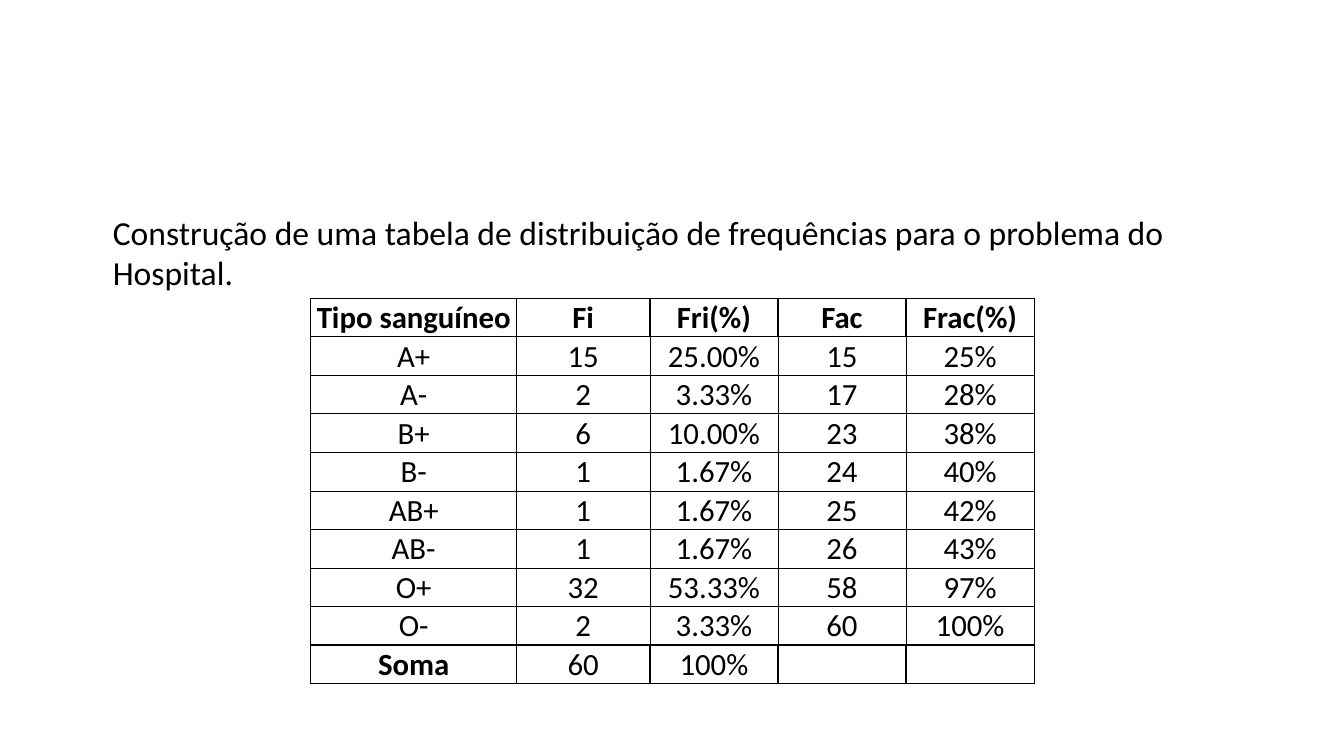
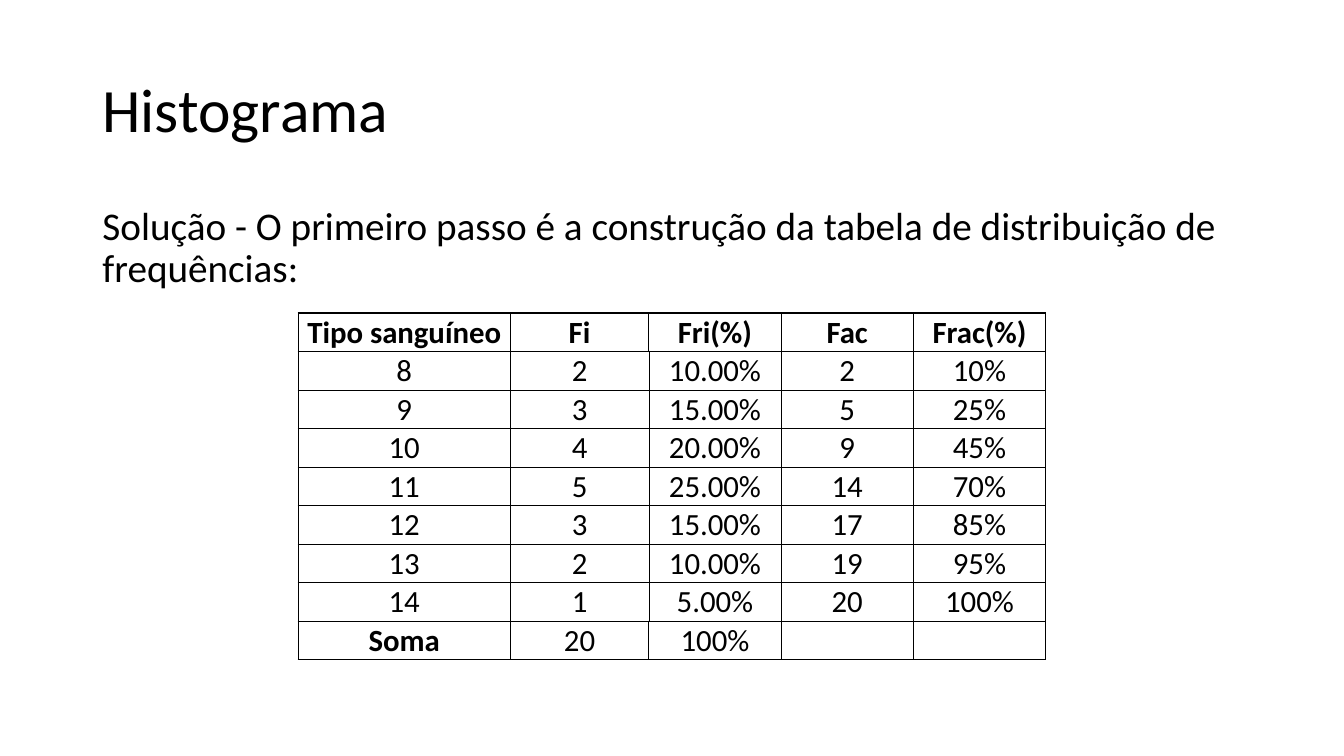
from dataclasses import dataclass
from itertools import accumulate

from lxml import etree
from pptx import Presentation
from pptx.dml.color import RGBColor
from pptx.enum.text import MSO_ANCHOR, MSO_AUTO_SIZE, PP_ALIGN
from pptx.oxml.ns import qn
from pptx.util import Pt

LEFT, CENTER = PP_ALIGN.LEFT, PP_ALIGN.CENTER
TOP, MIDDLE, BOTTOM = MSO_ANCHOR.TOP, MSO_ANCHOR.MIDDLE, MSO_ANCHOR.BOTTOM
NO_AUTOFIT = MSO_AUTO_SIZE.NONE
PX = 9525


@dataclass(frozen=True)
class Theme:
    font: str = "Calibri"
    ink: str = "000000"
    title: int = 44
    body: int = 28
    note: int = 24
    cell: int = 22
    thin: float = 0.5
    heavy: float = 1


THEME = Theme()
HEADINGS = ["Tipo sanguíneo", "Fi", "Fri(%)", "Fac", "Frac(%)"]
ROW_HEIGHT = 36


def write_text(frame, text, size, anchor, alignment=LEFT, bold=False):
    frame.word_wrap = True
    frame.vertical_anchor = anchor
    paragraph = frame.paragraphs[0]
    paragraph.alignment = alignment
    paragraph.font.name = THEME.font
    paragraph.font.size = Pt(size)
    paragraph.font.bold = bold
    paragraph.font.color.rgb = RGBColor.from_string(THEME.ink)
    if text:
        paragraph.add_run().text = text
    return paragraph


def add_frequency_table(slide, left, top, widths, counts, heavy_edges):
    total = sum(counts.values())
    rows = [HEADINGS]
    for (label, count), running in zip(counts.items(), accumulate(counts.values())):
        rows.append([label, str(count), f"{count / total:.2%}", str(running), f"{running / total:.0%}"])
    rows.append(["Soma", str(total), "100%", "", ""])
    last = len(rows) - 1

    table = slide.shapes.add_table(
        len(rows), len(widths), left * PX, top * PX, sum(widths) * PX, len(rows) * ROW_HEIGHT * PX
    ).table
    table.first_row = table.horz_banding = False
    for column, width in zip(table.columns, widths):
        column.width = width * PX

    for row_index, row in enumerate(rows):
        table.rows[row_index].height = ROW_HEIGHT * PX
        framed = row_index in (0, last)
        for column_index, text in enumerate(row):
            cell = table.cell(row_index, column_index)
            cell.margin_left = cell.margin_right = cell.margin_top = PX
            cell.margin_bottom = 0
            bold = row_index == 0 or text == "Soma"
            write_text(cell.text_frame, text, THEME.cell, BOTTOM, CENTER, bold)
            cell.vertical_anchor = BOTTOM
            heavy_sides = {
                "a:lnL": framed or column_index in heavy_edges,
                "a:lnR": framed or column_index + 1 in heavy_edges,
                "a:lnT": framed or row_index == 1,
                "a:lnB": framed or row_index == last - 1,
            }
            properties = cell._tc.get_or_add_tcPr()
            for side, heavy in heavy_sides.items():
                width = Pt(THEME.heavy if heavy else THEME.thin)
                line = etree.SubElement(properties, qn(side), w=str(width))
                fill = etree.SubElement(line, qn("a:solidFill"))
                etree.SubElement(fill, qn("a:srgbClr"), val=THEME.ink)
            cell.fill.background()


presentation = Presentation()
presentation.slide_width = 1280 * PX
presentation.slide_height = 720 * PX
content_layout, blank_layout = presentation.slide_layouts[1], presentation.slide_layouts[6]

slide = presentation.slides.add_slide(blank_layout)
blood_counts = {"A+": 15, "A-": 2, "B+": 6, "B-": 1, "AB+": 1, "AB-": 1, "O+": 32, "O-": 2}
add_frequency_table(slide, 296, 284, [196, 127, 122, 122, 122], blood_counts, {0})
note = slide.shapes.add_textbox(98 * PX, 197 * PX, 1054 * PX, 87 * PX)
write_text(
    note.text_frame,
    "Construção de uma tabela de distribuição de frequências para o problema do Hospital.",
    THEME.note,
    TOP,
)

slide = presentation.slides.add_slide(content_layout)
title, body = slide.placeholders
placeholder_texts = [
    (title, 38, 139, "Histograma", THEME.title, MIDDLE),
    (
        body,
        192,
        457,
        "Solução - O primeiro passo é a construção da tabela de distribuição de frequências:",
        THEME.body,
        TOP,
    ),
]
for shape, top, height, text, size, anchor in placeholder_texts:
    shape.left, shape.top, shape.width, shape.height = 88 * PX, top * PX, 1104 * PX, height * PX
    paragraph = write_text(shape.text_frame, text, size, anchor)
    paragraph.line_spacing = 0.9
    shape.text_frame.auto_size = NO_AUTOFIT

paragraph = body.text_frame.paragraphs[0]
paragraph.space_before = Pt(10)
properties = paragraph._p.get_or_add_pPr()
properties.set("marL", "0")
properties.set("indent", "0")
properties.find(qn("a:defRPr")).addprevious(etree.Element(qn("a:buNone")))

value_counts = {"8": 2, "9": 3, "10": 4, "11": 5, "12": 3, "13": 2, "14": 1}
add_frequency_table(slide, 284, 298, [202, 132, 126, 126, 126], value_counts, {0, 1})

presentation.save("out.pptx")
